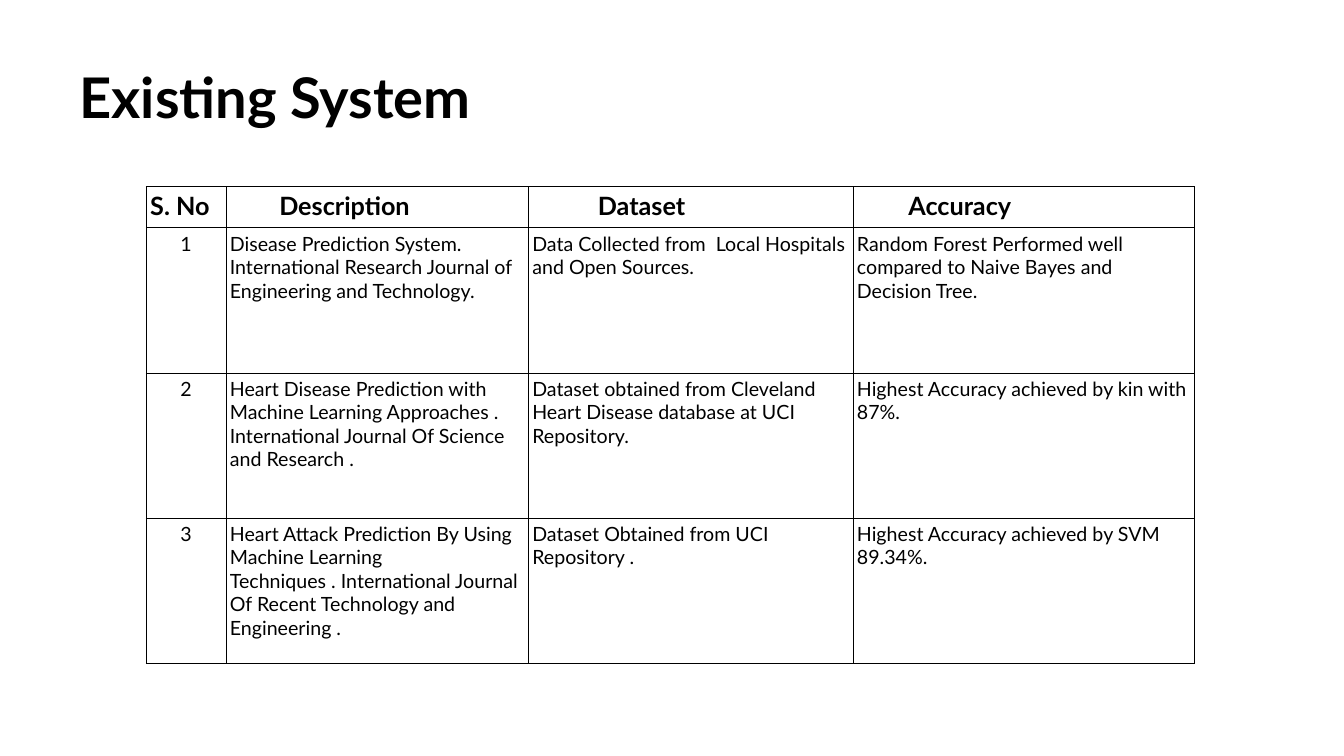
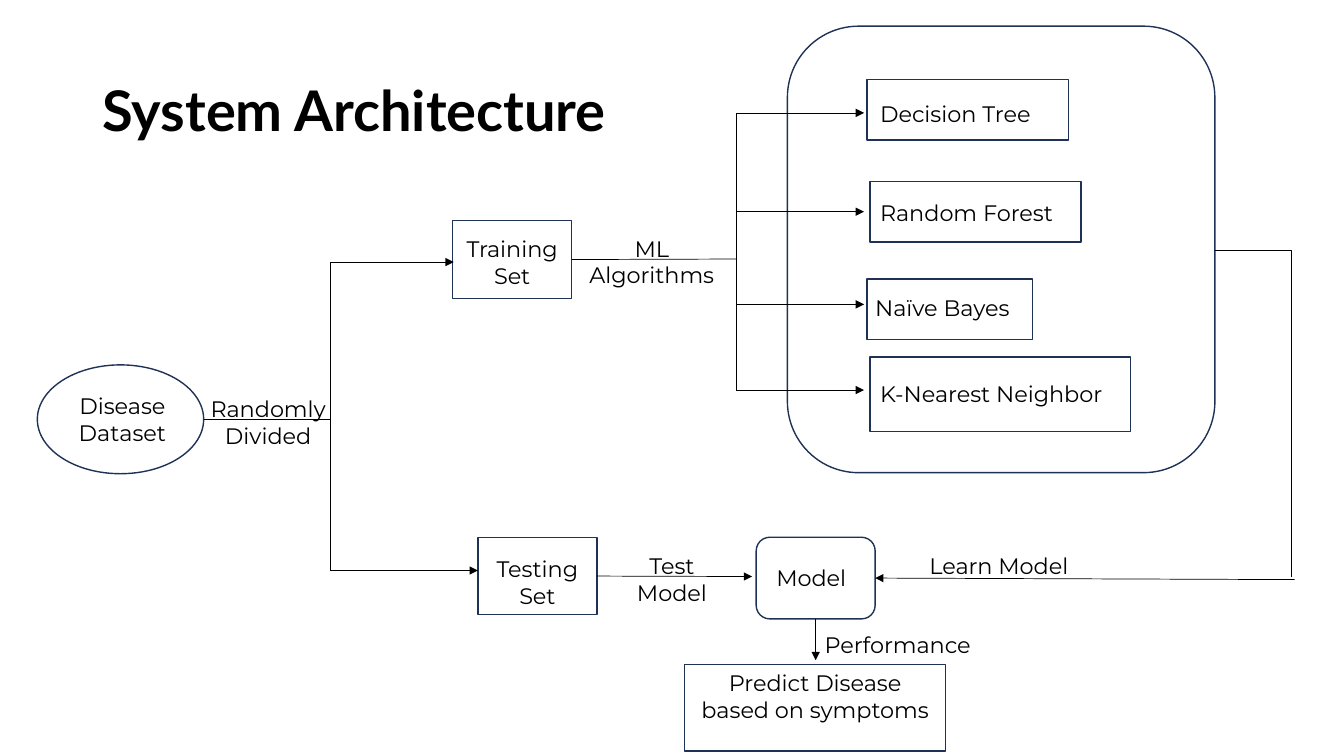
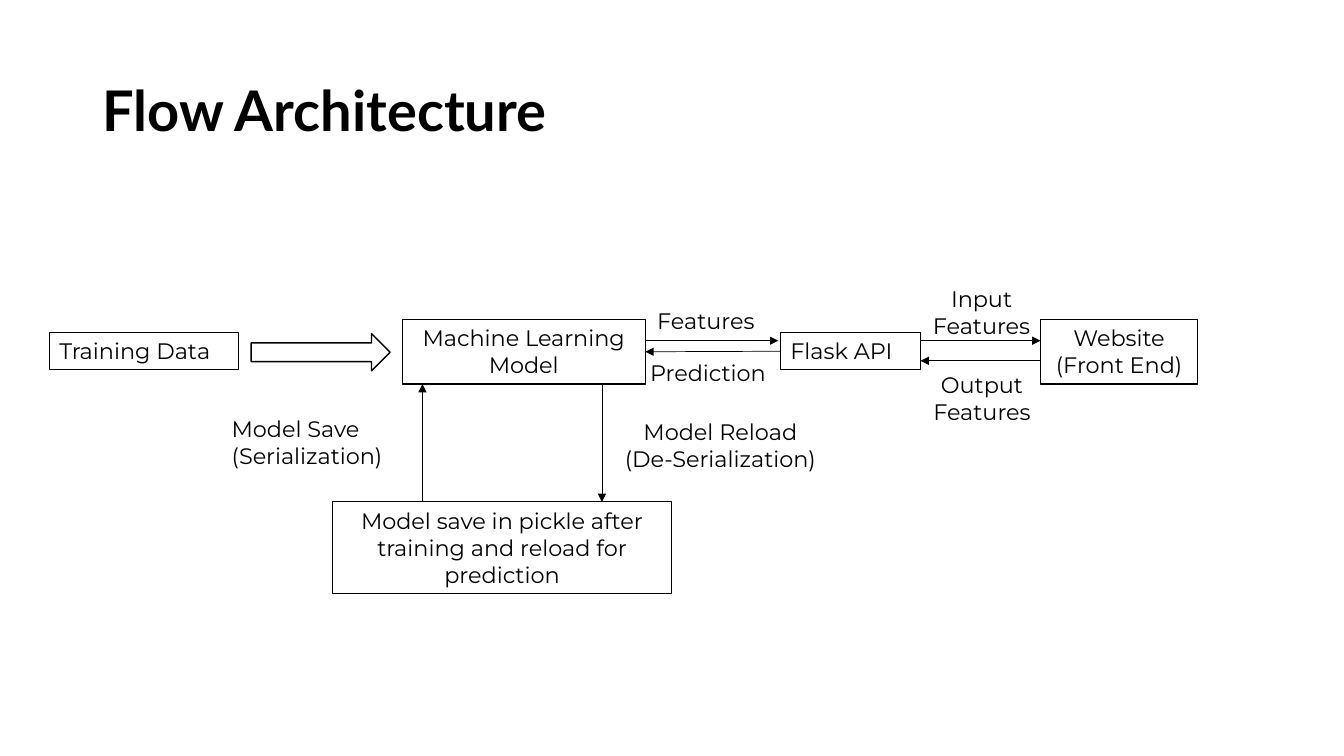
from lxml.etree import SubElement
from pptx import Presentation
from pptx.dml.color import RGBColor
from pptx.enum.shapes import MSO_CONNECTOR, MSO_SHAPE
from pptx.enum.text import MSO_ANCHOR, PP_ALIGN
from pptx.oxml import parse_xml
from pptx.oxml.ns import nsdecls, qn
from pptx.util import Inches, Pt

BLACK, WHITE, NAVY = "000000", "FFFFFF", "1E3256"
HEAD_FONT, BODY_FONT = "Lato", "Montserrat"
INSETS = (0.1, 0.05, 0.1, 0.05)
TOP, LEFT, BOTTOM, RIGHT = range(4)
ALIGN = {"left": PP_ALIGN.LEFT, "center": PP_ALIGN.CENTER}

# Existing System: (heading, column width, heading indent)
COLUMNS = [("S. No", 0.79, 0), ("Description", 3, 0.49), ("Dataset", 3.22, 0.65), ("Accuracy", 3.39, 0.51)]
STUDIES = [
    ("1",
     "Disease Prediction System. International Research Journal of Engineering and Technology.",
     "Data Collected from  Local Hospitals and Open Sources.",
     "Random Forest Performed well compared to Naive Bayes and Decision Tree."),
    ("2",
     "Heart Disease Prediction with Machine Learning Approaches .\n"
     "International Journal Of Science and Research .",
     "Dataset obtained from Cleveland\nHeart Disease database at UCI Repository.",
     "Highest Accuracy achieved by kin with 87%."),
    ("3",
     "Heart Attack Prediction By Using Machine Learning\n"
     "Techniques . International Journal Of Recent Technology and Engineering .",
     "Dataset Obtained from UCI Repository .",
     "Highest Accuracy achieved by SVM\n89.34%."),
]
HEADER_HEIGHT, STUDY_HEIGHT = 0.41, 1.44

# System Architecture: text, (left, top, width, height), left inset, top inset
ALGORITHMS = [
    ("Decision Tree", (8.6, 0.79, 2, 0.6), 0.13, 0.2),
    ("Random Forest", (8.63, 1.8, 2.09, 0.6), 0.1, 0.18),
    ("Naïve Bayes", (8.6, 2.77, 1.64, 0.6), 0.08, 0.15),
    ("K-Nearest Neighbor", (8.63, 3.54, 2.58, 0.74), 0.1, 0.23),
]
ALGORITHM_LEVELS = [1.12, 2.1, 3.02, 3.87]
STAGES = [
    ("Training Set", (4.49, 2.19, 1.18, 0.77), 0.14),
    ("Testing Set", (4.74, 5.33, 1.18, 0.77), 0.18),
    ("Predict Disease based on symptoms", (6.79, 6.59, 2.59, 0.86), 0.05),
]
SYSTEM_LABELS = [
    ("ML Algorithms", (5.7, 2.28, 1.53, 0.64), "center"),
    ("Test Model", (6.11, 5.43, 1.11, 0.64), "center"),
    ("Learn Model", (9.12, 5.43, 1.86, 0.37), "left"),
    ("Randomly Divided", (1.95, 3.87, 1.42, 0.64), "center"),
    ("Performance", (8.08, 6.21, 2, 0.37), "left"),
]
SPLIT_X, FAN_X, FAN_END = 3.28, 7.3, 8.57

# Flow Architecture
FLOW_BOXES = [
    ("Training Data", (0.49, 3.3, 1.88, 0.37), "left"),
    ("Machine Learning Model", (3.99, 3.17, 2.41, 0.64), "center"),
    ("Flask API", (7.74, 3.3, 1.39, 0.37), "left"),
    ("Website\n(Front End)", (10.32, 3.17, 1.56, 0.64), "center"),
    ("Model save in pickle after training and reload for prediction", (3.3, 4.98, 3.36, 0.91), "center"),
]
FLOW_LABELS = [
    ("Features", (6.42, 3, 1.32, 0.37), "left"),
    ("Prediction", (6.35, 3.51, 1.46, 0.37), "left"),
    ("Input Features", (9.04, 2.78, 1.39, 0.64), "center"),
    ("Output Features", (9.09, 3.63, 1.3, 0.64), "center"),
    ("Model Save\n(Serialization)", (2.2, 4.07, 1.96, 0.64), "left"),
    ("Model Reload\n(De-Serialization)", (5.94, 4.1, 2.41, 0.64), "center"),
]
FLOW_ARROWS = [
    ((6.4, 3.38), (7.72, 3.38)),
    ((9.13, 3.38), (10.32, 3.38)),
    ((10.32, 3.58), (9.13, 3.58)),
    ((5.97, 3.81), (5.97, 4.98)),
    ((4.19, 4.98), (4.19, 3.81)),
]


def color(value):
    return RGBColor.from_string(value)


def write(frame, text, size=16, font=BODY_FONT, bold=False, align="left",
          anchor=MSO_ANCHOR.TOP, insets=INSETS, spacing=None):
    frame.word_wrap = True
    frame.vertical_anchor = anchor
    (frame.margin_left, frame.margin_top,
     frame.margin_right, frame.margin_bottom) = map(Inches, insets)
    for index, line in enumerate(text.split("\n")):
        para = frame.add_paragraph() if index else frame.paragraphs[0]
        para.alignment = ALIGN[align]
        if spacing:
            para.line_spacing = spacing
        span = para.add_run()
        span.text = line
        span.font.size, span.font.name, span.font.bold = Pt(size), font, bold
        span.font.color.rgb = color(BLACK)


def label(page, text, at, **style):
    box = page.shapes.add_textbox(*map(Inches, at))
    write(box.text_frame, text, **style)


def outline(page, kind, at, text="", stroke=NAVY, weight=1, fill=None, **style):
    """Add an outlined preset shape, with its text if there is any."""
    shape = page.shapes.add_shape(kind, *map(Inches, at))
    shape.shadow.inherit = False
    if fill:
        shape.fill.solid()
        shape.fill.fore_color.rgb = color(fill)
    else:
        shape.fill.background()
    shape.line.color.rgb = color(stroke)
    shape.line.width = Pt(weight)
    if text:
        write(shape.text_frame, text, **style)
    return shape


def connect(page, start, end, arrow=False, bent=False):
    """Draw a line; each end is a point (x, y) or a joint (shape, side)."""
    joints = [spot if hasattr(spot[0], "shape_id") else None for spot in (start, end)]
    points = [(0, 0) if joint else spot for joint, spot in zip(joints, (start, end))]
    kind = MSO_CONNECTOR.ELBOW if bent else MSO_CONNECTOR.STRAIGHT
    line = page.shapes.add_connector(kind, *(Inches(n) for point in points for n in point))
    if joints[0]:
        line.begin_connect(*joints[0])
    if joints[1]:
        line.end_connect(*joints[1])
    line.line.color.rgb = color(BLACK)
    line.line.width = Pt(0.5)
    properties = line._element.spPr
    if bent:
        properties.find(qn("a:prstGeom")).set("prst", "bentConnector2")
    if arrow:
        SubElement(properties.find(qn("a:ln")), qn("a:tailEnd"), type="triangle")
    SubElement(properties, qn("a:effectLst"))


def add_page(deck, title, left=0.92, top=0.4):
    page = deck.slides.add_slide(deck.slide_layouts[6])
    label(page, title, (left, top, 11.5, 1.45), size=40, font=HEAD_FONT, bold=True,
          anchor=MSO_ANCHOR.MIDDLE, spacing=0.9)
    return page


def format_cell(cell, text, indent=0, **style):
    write(cell.text_frame, text, font=HEAD_FONT, **style)
    cell.margin_left = Inches(0.04 + indent)
    cell.margin_top = cell.margin_right = cell.margin_bottom = Inches(0.04)
    cell.fill.background()
    for index, side in enumerate("LRTB"):
        cell._tc.get_or_add_tcPr().insert(index, parse_xml(
            f'<a:ln{side} {nsdecls("a")} w="{Pt(0.5)}"><a:solidFill>'
            f'<a:srgbClr val="{BLACK}"/></a:solidFill></a:ln{side}>'))


def existing_system(deck):
    page = add_page(deck, "Existing System", 0.69, 0.27)
    heights = [HEADER_HEIGHT] + [STUDY_HEIGHT] * len(STUDIES)
    width = sum(column[1] for column in COLUMNS)
    table = page.shapes.add_table(len(heights), len(COLUMNS), Inches(1.45), Inches(1.85),
                                  Inches(width), Inches(sum(heights))).table
    table.first_row = table.horz_banding = False
    for row, height in zip(table.rows, heights):
        row.height = Inches(height)
    for column, (heading, width, indent) in enumerate(COLUMNS):
        table.columns[column].width = Inches(width)
        format_cell(table.cell(0, column), heading, indent, size=18, bold=True)
        for row, study in enumerate(STUDIES, 1):
            format_cell(table.cell(row, column), study[column], size=14,
                        align="left" if column else "center")


def system_architecture(deck):
    page = add_page(deck, "System Architecture")
    outline(page, MSO_SHAPE.OVAL, (0.37, 3.62, 1.65, 1.08), "Disease Dataset", fill=WHITE,
            align="center", insets=(0.1, 0.11, 0.06, 0))
    outline(page, MSO_SHAPE.ROUNDED_RECTANGLE, (7.81, 0.26, 4.24, 4.43))
    for text, at, left, top in ALGORITHMS:
        outline(page, MSO_SHAPE.RECTANGLE, at, text, insets=(left, top, 0.1, 0))
    training, testing, _ = [
        outline(page, MSO_SHAPE.RECTANGLE, at, text, align="center", insets=(0.1, top, 0.1, 0))
        for text, at, top in STAGES]
    model = outline(page, MSO_SHAPE.ROUNDED_RECTANGLE, (7.5, 5.33, 1.18, 0.81), "Model",
                    insets=(0.16, 0.23, 0, 0))

    connect(page, (2.02, 4.16), (SPLIT_X, 4.16))
    connect(page, (SPLIT_X, 2.6), (SPLIT_X, 5.66))
    connect(page, (SPLIT_X, 2.6), (4.5, 2.6), arrow=True)
    connect(page, (SPLIT_X, 5.66), (4.74, 5.66), arrow=True)
    connect(page, (training, RIGHT), (FAN_X, 2.57))
    connect(page, (FAN_X, ALGORITHM_LEVELS[0]), (FAN_X, ALGORITHM_LEVELS[-1]))
    for level in ALGORITHM_LEVELS:
        connect(page, (FAN_X, level), (FAN_END, level), arrow=True)
    connect(page, (testing, RIGHT), (7.46, 5.72), arrow=True)
    connect(page, (12.05, 2.48), (12.81, 5.72), bent=True)
    connect(page, (12.84, 5.75), (model, RIGHT), arrow=True)
    connect(page, (model, BOTTOM), (8.09, 6.55), arrow=True)
    for text, at, align in SYSTEM_LABELS:
        label(page, text, at, align=align)


def flow_architecture(deck):
    page = add_page(deck, "Flow Architecture")
    _, model, service, *_ = [
        outline(page, MSO_SHAPE.RECTANGLE, at, text, stroke=BLACK, weight=0.75, align=align)
        for text, at, align in FLOW_BOXES]
    outline(page, MSO_SHAPE.RIGHT_ARROW, (2.49, 3.31, 1.38, 0.37), stroke=BLACK)
    connect(page, (service, LEFT), (model, RIGHT), arrow=True)
    for start, end in FLOW_ARROWS:
        connect(page, start, end, arrow=True)
    for text, at, align in FLOW_LABELS:
        label(page, text, at, align=align)


def main():
    deck = Presentation()
    deck.slide_width, deck.slide_height = Inches(13.33), Inches(7.5)
    for build in (existing_system, system_architecture, flow_architecture):
        build(deck)
    deck.save("out.pptx")


if __name__ == "__main__":
    main()
